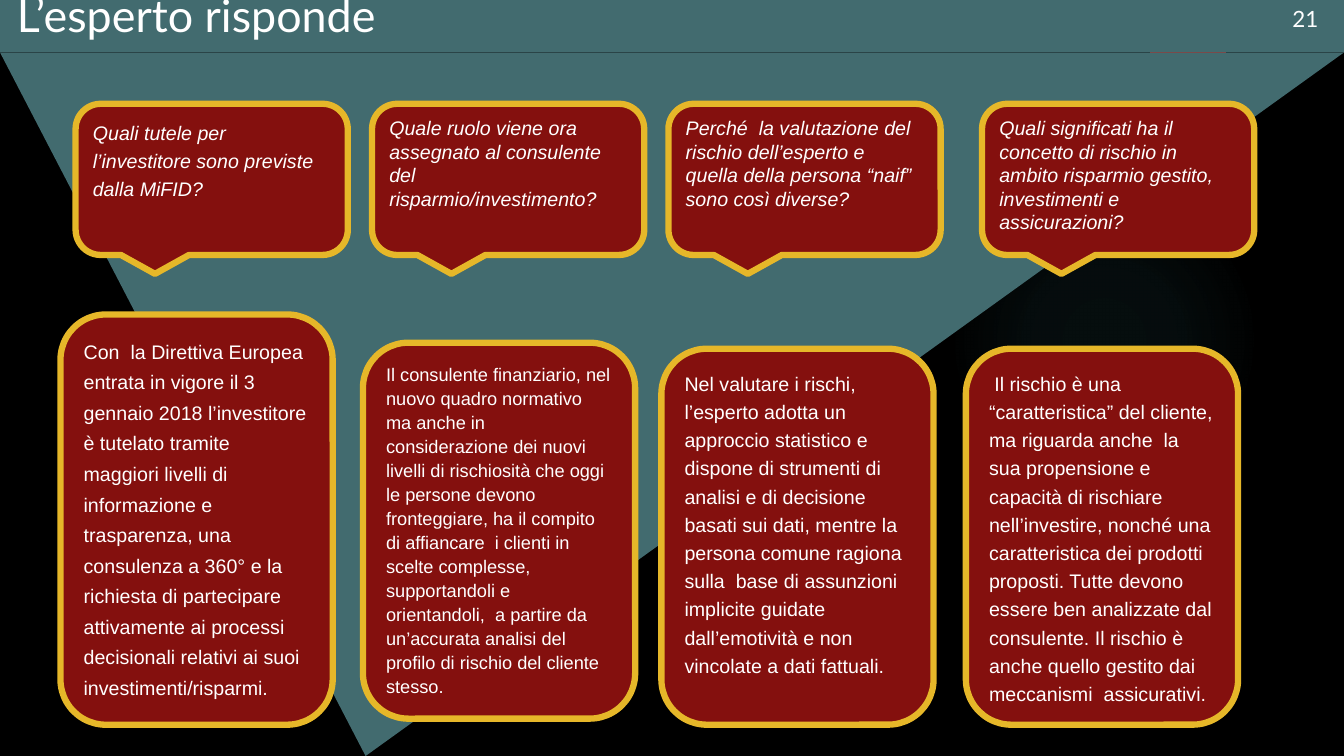
"""Build the slide "L’esperto risponde": four questions in callouts above four answers."""
from lxml import etree
from pptx import Presentation
from pptx.dml.color import RGBColor
from pptx.enum.shapes import MSO_CONNECTOR, MSO_SHAPE as SHAPE
from pptx.enum.text import MSO_ANCHOR, PP_ALIGN
from pptx.oxml import parse_xml
from pptx.oxml.ns import nsdecls, qn
from pptx.util import Inches, Pt

W, H = 13.33, 7.5
BAND, CARD_W = 0.52, 2.7
TEAL, RED, GOLD, WHITE = "426B6F", "84100E", "E6B729", "FFFFFF"


def add_box(kind, x, y, w, h, fill=None, line=None):
    s = sp.add_shape(kind, Inches(x), Inches(y), Inches(w), Inches(h))
    s.shadow.inherit = False
    if fill:
        s.fill.solid()
        s.fill.fore_color.rgb = RGBColor.from_string(fill)
    if line:
        s.line.color.rgb = RGBColor.from_string(line)
        s.line.width = Pt(4.5)
    else:
        s.line.fill.background()
    return s


def write(s, text, spacing=None, **font):
    tf = s.text_frame
    tf.word_wrap, tf.vertical_anchor = True, MSO_ANCHOR.TOP
    p = tf.paragraphs[0]
    p.alignment, p.line_spacing = PP_ALIGN.LEFT, spacing
    r = p.add_run()
    r.text = text
    r.font.color.rgb = RGBColor.from_string(WHITE)
    for key, value in font.items():
        setattr(r.font, key, value)


prs = Presentation()
prs.slide_width, prs.slide_height = Inches(W), Inches(H)
slide = prs.slides.add_slide(prs.slide_layouts[6])
slide.background.fill.solid()
slide.background.fill.fore_color.rgb = RGBColor.from_string("000000")
sp = slide.shapes

glow = add_box(SHAPE.OVAL, 9.41, 1.83, 3.08, 3.08, TEAL)
stops = "".join(
    f'<a:gs pos="{pos}000"><a:srgbClr val="50B9C1"><a:alpha val="{alpha}000"/></a:srgbClr></a:gs>'
    for pos, alpha in ((0, 7), (36, 6), (69, 0), (100, 0)))
grad = parse_xml(
    f'<a:gradFill {nsdecls("a")} rotWithShape="1"><a:gsLst>{stops}</a:gsLst><a:path path="circle">'
    '<a:fillToRect l="50000" t="50000" r="50000" b="50000"/></a:path></a:gradFill>')
solid = glow.fill._xPr.find(qn("a:solidFill"))
solid.getparent().replace(solid, grad)

wedge = add_box(SHAPE.ISOSCELES_TRIANGLE, 0, BAND, W, H - BAND, TEAL)
wedge.adjustments[0] = 0.728
wedge.rotation = 180
add_box(SHAPE.RECTANGLE, 0, 0, W, BAND, TEAL)

for x1, x2, color in ((0, W, "2A4447"), (11.41, 12.16, "7A4A4A")):
    c = sp.add_connector(MSO_CONNECTOR.STRAIGHT, Inches(x1), Inches(BAND), Inches(x2), Inches(BAND))
    c.line.color.rgb = RGBColor.from_string(color)
    c.line.width = Pt(0.5)
    etree.SubElement(c._element.spPr, qn("a:effectLst"))

for text, x, y, w, size in (("21", 12.72, 0, 0.55, 16), ("L’esperto risponde", 0.07, -0.17, 12.57, 32)):
    s = sp.add_textbox(Inches(x), Inches(y), Inches(w), Inches(0.37))
    write(s, text, name="Lato", size=Pt(size))

questions = [
    (0.75, 1.2, "Quali tutele per l’investitore sono previste dalla MiFID?"),
    (3.69, 1.0, "Quale ruolo viene ora assegnato al consulente del risparmio/investimento?"),
    (6.63, 1.0, "Perché  la valutazione del rischio dell’esperto e quella della persona “naif” "
                "sono così diverse?"),
    (9.74, 1.0, "Quali significati ha il concetto di rischio in ambito risparmio gestito, "
                "investimenti e assicurazioni?"),
]
for x, spacing, text in questions:
    s = add_box(SHAPE.ROUNDED_RECTANGULAR_CALLOUT, x, 1.03, CARD_W, 1.5, RED, GOLD)
    s.text_frame.margin_right = Inches(0.17)
    write(s, text, spacing, name="Arial", size=Pt(14), italic=True)

answers = [
    (0.6, 3.12, 4.07, 1.3, 14,
     "Con  la Direttiva Europea entrata in vigore il 3 gennaio 2018 l’investitore è tutelato "
     "tramite maggiori livelli di informazione e trasparenza, una consulenza a 360° e la richiesta "
     "di partecipare attivamente ai processi decisionali relativi ai suoi investimenti/risparmi."),
    (3.6, 3.4, 3.73, 1.1, 13,
     "Il consulente finanziario, nel nuovo quadro normativo ma anche in considerazione dei nuovi "
     "livelli di rischiosità che oggi le persone devono fronteggiare, ha il compito di affiancare  "
     "i clienti in scelte complesse, supportandoli e orientandoli,  a partire da un’accurata "
     "analisi del profilo di rischio del cliente stesso."),
    (6.56, 3.46, 3.73, 1.2, 14,
     "Nel valutare i rischi, l’esperto adotta un approccio statistico e dispone di strumenti di "
     "analisi e di decisione basati sui dati, mentre la persona comune ragiona sulla  base di "
     "assunzioni implicite guidate dall’emotività e non vincolate a dati fattuali."),
    (9.58, 3.46, 3.73, 1.2, 14,
     " Il rischio è una “caratteristica” del cliente, ma riguarda anche  la sua propensione e "
     "capacità di rischiare nell’investire, nonché una caratteristica dei prodotti proposti. Tutte "
     "devono essere ben analizzate dal consulente. Il rischio è anche quello gestito dai "
     "meccanismi  assicurativi."),
]
for x, y, h, spacing, size, text in answers:
    s = add_box(SHAPE.ROUNDED_RECTANGLE, x, y, CARD_W, h, RED, GOLD)
    write(s, text, spacing, name="Arial", size=Pt(size))

prs.save("out.pptx")
